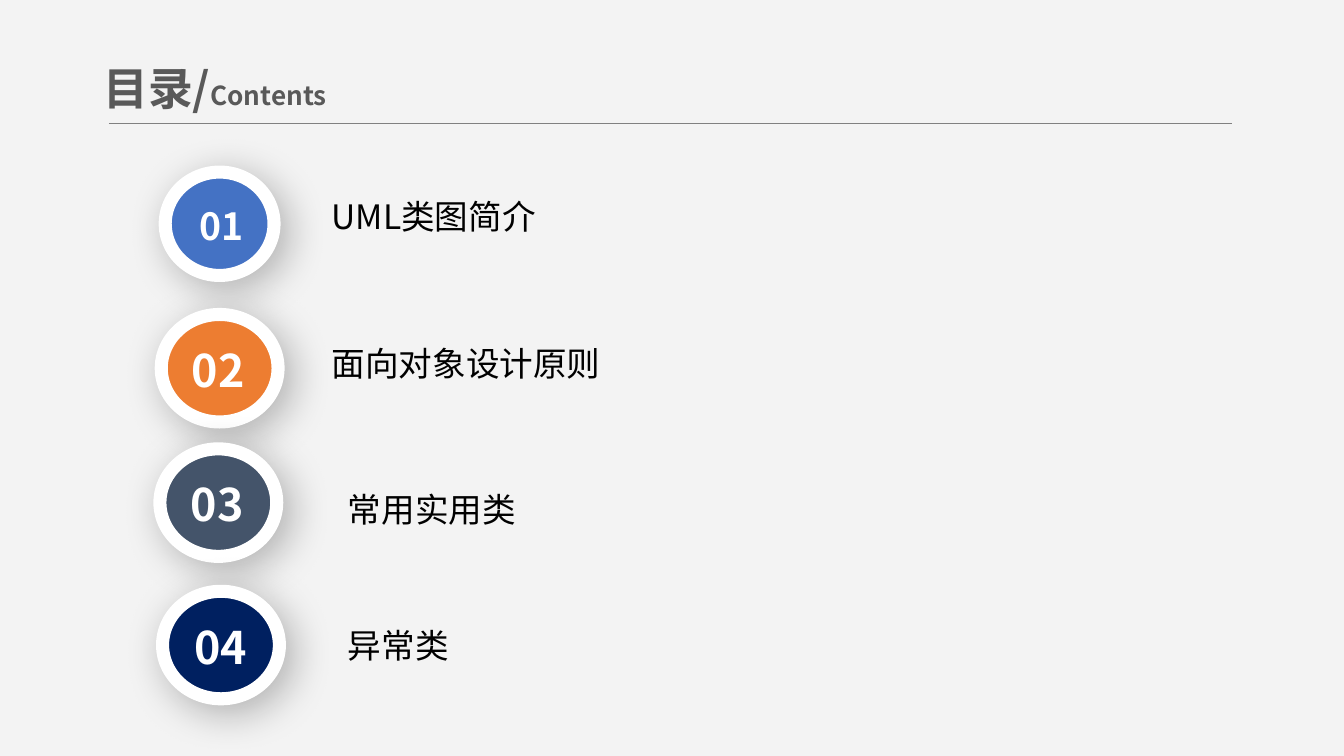
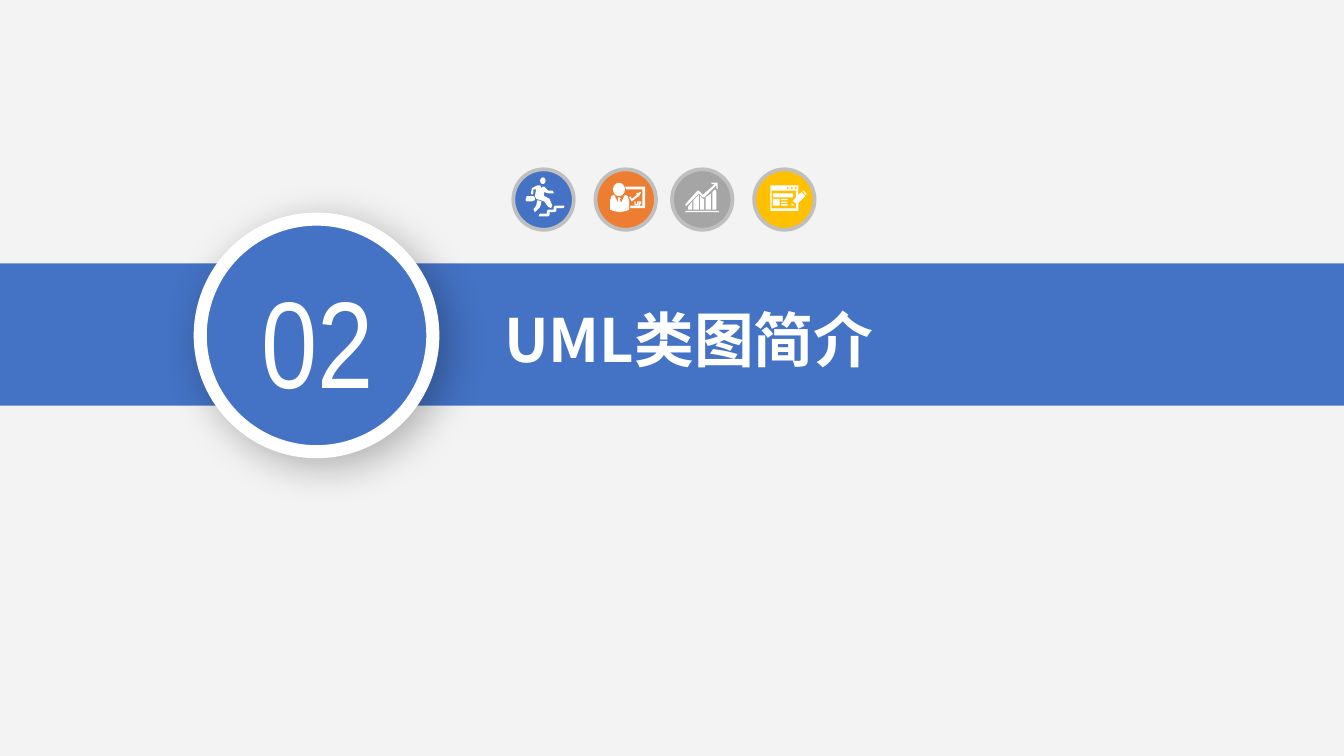
from dataclasses import dataclass
from typing import NamedTuple

from lxml import etree
from pptx import Presentation
from pptx.dml.color import RGBColor
from pptx.enum.shapes import MSO_CONNECTOR, MSO_SHAPE
from pptx.enum.text import MSO_ANCHOR, MSO_AUTO_SIZE, PP_ALIGN
from pptx.oxml.ns import qn
from pptx.util import Pt


@dataclass(frozen=True)
class Theme:
    background: str = "F3F3F3"
    white: str = "FFFFFF"
    black: str = "000000"
    heading: str = "595959"
    rule: str = "808080"
    icon_ring: str = "BFBFBF"
    blue: str = "4472C4"
    orange: str = "ED7D31"
    gray: str = "A5A5A5"
    gold: str = "FFC000"
    slate: str = "44546A"
    navy: str = "002060"
    font: str = "Noto Sans CJK SC"
    number_font: str = "Arial Narrow"
    subtitle_size: float = 14
    label_size: float = 18
    small_number_size: float = 20
    heading_size: float = 24
    section_size: float = 32
    section_number_size: float = 66
    badge_ring: float = 7
    icon_ring_width: float = 2


THEME = Theme()


class Box(NamedTuple):
    left: float
    top: float
    width: float
    height: float


class Badge(NamedTuple):
    number: str
    disc: Box
    text: Box
    color: str
    size: float = THEME.heading_size
    font: str = THEME.font


class Entry(NamedTuple):
    badge: Badge
    label: str
    label_box: Box


Contour = list[tuple[float, float]]


@dataclass(frozen=True)
class Icon:
    left: float
    color: str
    outlines: list[list[Contour]]
    rects: tuple[Box, ...] = ()
    ovals: tuple[Box, ...] = ()


ENTRIES = [
    Entry(Badge("01", Box(88.5, 92.2, 58.3, 55.4), Box(96.5, 105.8, 43.9, 29.5),
                THEME.blue, THEME.small_number_size),
          "UML类图简介", Box(170.6, 101.5, 203.8, 28.8)),
    Entry(Badge("02", Box(86.4, 168.5, 62.6, 57.6), Box(93.6, 180.7, 46.8, 34.6), THEME.orange),
          "面向对象设计原则", Box(170.6, 180, 179.3, 28.8)),
    Entry(Badge("03", Box(85.7, 240.5, 62.6, 57.6), Box(92.9, 252.7, 46.8, 34.6), THEME.slate),
          "常用实用类", Box(179.3, 258.5, 146.2, 28.8)),
    Entry(Badge("04", Box(87.1, 316.8, 62.6, 57.6), Box(95, 329, 46.8, 34.6), THEME.navy),
          "异常类", Box(179.3, 331.2, 170, 28.8)),
]

SECTION_BADGE = Badge("02", Box(107.3, 117.4, 124.6, 124.6), Box(123.1, 139, 94.3, 85.7),
                      THEME.blue, THEME.section_number_size, THEME.number_font)

ICON_TOP = 90.7
ICON_SIZE = 32.4
GRID = 0.72


def rectangle(left: float, top: float, right: float, bottom: float) -> Contour:
    return [(left, top), (right, top), (right, bottom), (left, bottom)]


def diamond(x: float, y: float, radius: float) -> Contour:
    return [(x, y - radius), (x + radius, y), (x, y + radius), (x - radius, y)]


RUNNER = Icon(275, THEME.blue, [
    [[(20, 33), (25, 33), (25, 31), (26, 30), (30, 30), (30, 28), (31, 27), (38, 27), (38, 28),
      (37, 29), (32, 29), (32, 31), (31, 32), (27, 32), (27, 34), (26, 35), (19, 35), (19, 34)]],
    [[(10, 24), (14, 24), (16, 23), (16, 21), (15, 20), (10, 20), (9, 23)],
     [(15, 30), (17, 27), (18, 23), (21, 24), (20, 28), (17, 31), (16, 32)],
     [(22, 13), (23, 13), (26, 16), (29, 16), (30, 17), (30, 18), (26, 18), (23, 17), (23, 20),
      (27, 22), (29, 27), (28, 29), (26, 28), (23, 24), (17, 22), (16, 20), (17, 15), (15, 15),
      (15, 18), (14, 19), (13, 18), (14, 14), (18, 12), (20, 12), (21, 14)]],
], ovals=(Box(20, 6, 4, 5),))

PRESENTER = Icon(319, THEME.orange, [
    [[(22, 13), (23, 15), (35, 15), (35, 27), (26, 27), (26, 29), (37, 29), (37, 13)]],
    [[(26, 20), (25, 21), (27, 24), (32, 20), (32, 21), (34, 17), (30, 18), (31, 19), (27, 22)]],
    [[(22, 19), (19, 25), (18, 22), (19, 22), (18, 21), (17, 21), (17, 25), (14, 19), (12, 20),
      (11, 23), (11, 30), (13, 31), (18, 32), (23, 31), (25, 30), (25, 23), (24, 20)]],
    [[(29, 24), (29, 26), (30, 27), (31, 27), (31.5, 26), (31.5, 24), (31, 24), (31, 26),
      (30, 26), (30, 24)]],
    [[(32, 24), (32, 27), (33, 27), (33, 26), (34, 25.5), (34, 24)]],
], ovals=(Box(13, 10, 9, 10),))

GROWTH = Icon(360, THEME.gray, [
    [[(12, 30), (15, 30), (15, 24), (12, 28)]],
    [[(16, 30), (20, 30), (20, 19), (16, 23)]],
    [[(21, 30), (24, 30), (24, 22), (23, 22), (21, 20)]],
    [[(25, 30), (29, 30), (29, 18), (25, 21)]],
    [[(30, 30), (33, 30), (33, 16), (32, 15), (30, 17)]],
    [[(11, 27), (20, 18), (23, 21), (24, 21), (33, 12), (33, 14), (33.5, 15), (34, 14), (34, 10),
      (30, 10), (29, 10.5), (30, 11), (32, 11), (23, 19), (20, 16), (19, 16), (10, 26), (10, 27)]],
], rects=(Box(10, 31, 25, 1),))

EDITOR = Icon(404, THEME.gold, [
    [rectangle(12, 12, 33, 31), rectangle(13, 16, 31, 29),
     *(diamond(x, 14, 1) for x in (25, 28, 31))],
    [[(28, 25), (28, 27), (30, 27)]],
    [[(38, 19), (39, 19), (39, 18), (37, 16), (36, 16)]],
    [[(35, 17), (29, 23), (29, 24), (30, 24), (30, 25), (31, 25), (32, 26), (38, 20)]],
], rects=(Box(14, 18, 15, 3), Box(14, 22, 5, 5), *(Box(20, y, 5, 1) for y in (22, 24, 26))))


def rgb(color: str) -> RGBColor:
    return RGBColor.from_string(color)


def add_text(p, text: str, *, size: float, color: str, bold: bool = False,
             font: str = THEME.font, align=PP_ALIGN.LEFT) -> None:
    p.alignment = align
    r = p.add_run()
    r.text = text
    r.font.size = Pt(size)
    r.font.bold = bold
    r.font.name = font
    r.font.color.rgb = rgb(color)
    ea = etree.SubElement(r.font._element, qn("a:ea"))
    ea.set("typeface", font)


def place(sp, box: Box) -> None:
    sp.left, sp.top, sp.width, sp.height = map(Pt, box)


def prepare_frame(tf, anchor=MSO_ANCHOR.TOP, inset_x: float = 7.2, inset_y: float = 3.6):
    tf.word_wrap = True
    tf.auto_size = MSO_AUTO_SIZE.NONE
    tf.vertical_anchor = anchor
    tf.margin_left = tf.margin_right = Pt(inset_x)
    tf.margin_top = tf.margin_bottom = Pt(inset_y)
    return tf.paragraphs[0]


def add_box(s, box: Box, inset_x: float = 7.2, inset_y: float = 3.6):
    sp = s.shapes.add_textbox(*map(Pt, box))
    return prepare_frame(sp.text_frame, inset_x=inset_x, inset_y=inset_y)


def add_title(s, box: Box, anchor=MSO_ANCHOR.TOP):
    title = s.shapes.title
    place(title, box)
    s.shapes.element.append(title.element)
    return prepare_frame(title.text_frame, anchor)


def paint(sp, fill: str, ring: str | None = None, width: float = 0) -> None:
    sp.shadow.inherit = False
    sp.fill.solid()
    sp.fill.fore_color.rgb = rgb(fill)
    if ring is None:
        sp.line.fill.background()
    else:
        sp.line.color.rgb = rgb(ring)
        sp.line.width = Pt(width)


def add_preset(s, kind, box: Box, fill: str, ring: str | None = None, width: float = 0):
    sp = s.shapes.add_shape(kind, *map(Pt, box))
    paint(sp, fill, ring, width)
    return sp


def add_shadow(sp) -> None:
    effects = sp.element.spPr.find(qn("a:effectLst"))
    shadow = etree.SubElement(effects, qn("a:outerShdw"), blurRad=str(Pt(22)), dist=str(Pt(6)),
                              dir="2700000", algn="tl", rotWithShape="0")
    color = etree.SubElement(shadow, qn("a:srgbClr"), val=THEME.black)
    etree.SubElement(color, qn("a:alpha"), val="28000")


def add_badge(s, badge: Badge) -> None:
    disc = add_preset(s, MSO_SHAPE.OVAL, badge.disc, badge.color, THEME.white, THEME.badge_ring)
    add_shadow(disc)
    add_text(add_box(s, badge.text, 5, 2.9), badge.number, size=badge.size, color=THEME.white,
             bold=badge.font == THEME.font, font=badge.font, align=PP_ALIGN.CENTER)


def add_outline(s, contours: list[Contour], left: float, top: float) -> None:
    first, *others = contours
    builder = s.shapes.build_freeform(*first[0], scale=Pt(GRID))
    builder.add_line_segments(first[1:])
    for contour in others:
        builder.move_to(*contour[0])
        builder.add_line_segments(contour[1:])
    paint(builder.convert_to_shape(Pt(left), Pt(top)), THEME.white)


def add_icon(s, icon: Icon) -> None:
    add_preset(s, MSO_SHAPE.OVAL, Box(icon.left, ICON_TOP, ICON_SIZE, ICON_SIZE),
               icon.color, THEME.icon_ring, THEME.icon_ring_width)
    for contours in icon.outlines:
        add_outline(s, contours, icon.left, ICON_TOP)
    for kind, parts in ((MSO_SHAPE.RECTANGLE, icon.rects), (MSO_SHAPE.OVAL, icon.ovals)):
        for part in parts:
            box = Box(icon.left + part.left * GRID, ICON_TOP + part.top * GRID,
                      part.width * GRID, part.height * GRID)
            add_preset(s, kind, box, THEME.white)


def add_rule(s, left: float, right: float, y: float) -> None:
    line = s.shapes.add_connector(MSO_CONNECTOR.STRAIGHT, Pt(left), Pt(y), Pt(right), Pt(y))
    line.line.color.rgb = rgb(THEME.rule)
    line.line.width = Pt(0.5)
    etree.SubElement(line.element.spPr, qn("a:effectLst"))


def build_contents(s) -> None:
    p = add_title(s, Box(48.2, 27.4, 177.8, 38.9), MSO_ANCHOR.MIDDLE)
    add_text(p, "目录/", size=THEME.heading_size, color=THEME.heading, bold=True)
    add_text(p, "Contents", size=THEME.subtitle_size, color=THEME.heading, bold=True)
    add_rule(s, 58.3, 660.2, 66.2)
    for entry in ENTRIES:
        add_badge(s, entry.badge)
        add_text(add_box(s, entry.label_box), entry.label,
                 size=THEME.label_size, color=THEME.black)


def build_section(s) -> None:
    add_preset(s, MSO_SHAPE.RECTANGLE, Box(0, 141.1, 720, 76.3), THEME.blue)
    for icon in (RUNNER, PRESENTER, GROWTH, EDITOR):
        add_icon(s, icon)
    add_badge(s, SECTION_BADGE)
    add_text(add_title(s, Box(262.8, 158.4, 283.7, 46.1)), "UML类图简介",
             size=THEME.section_size, color=THEME.white, bold=True)


def main() -> None:
    prs = Presentation()
    prs.slide_width, prs.slide_height = Pt(720), Pt(405)
    background = prs.slide_master.background.fill
    background.solid()
    background.fore_color.rgb = rgb(THEME.background)
    title_only = prs.slide_layouts[5]
    for build in (build_contents, build_section):
        build(prs.slides.add_slide(title_only))
    prs.save("out.pptx")


if __name__ == "__main__":
    main()
